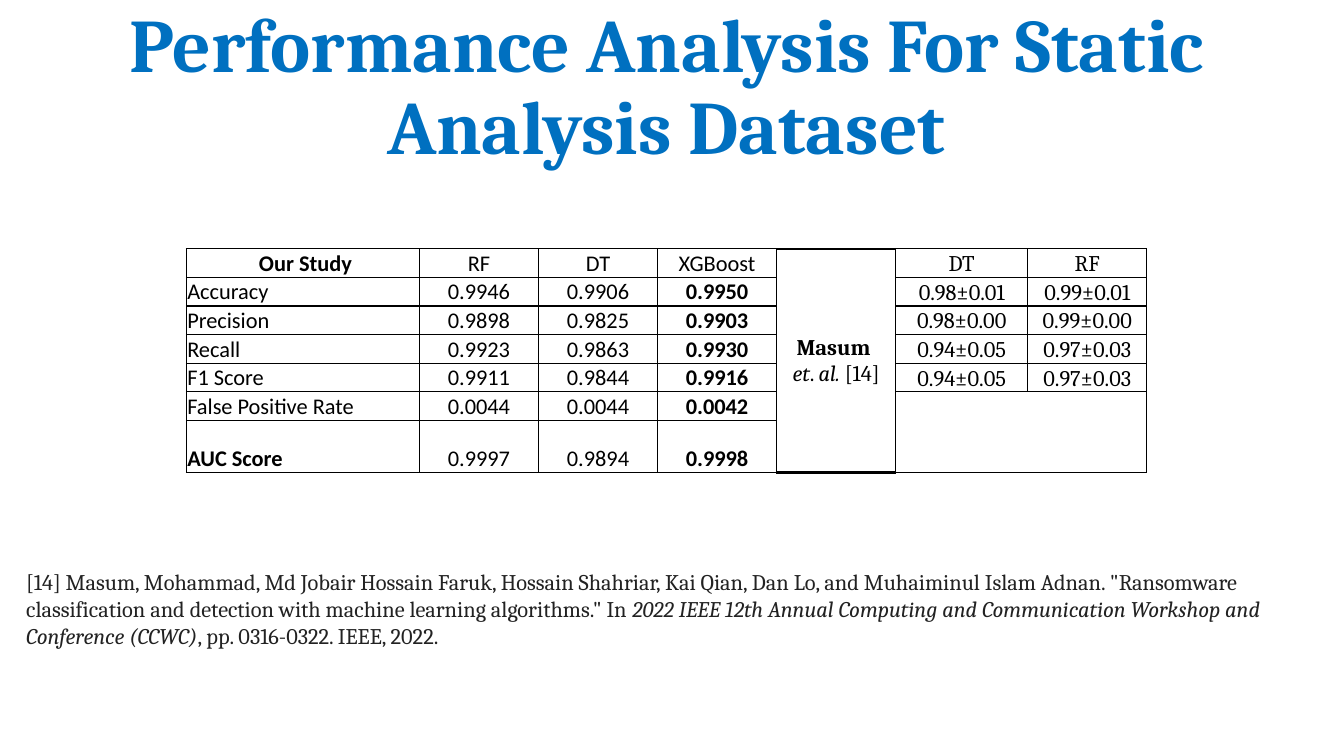
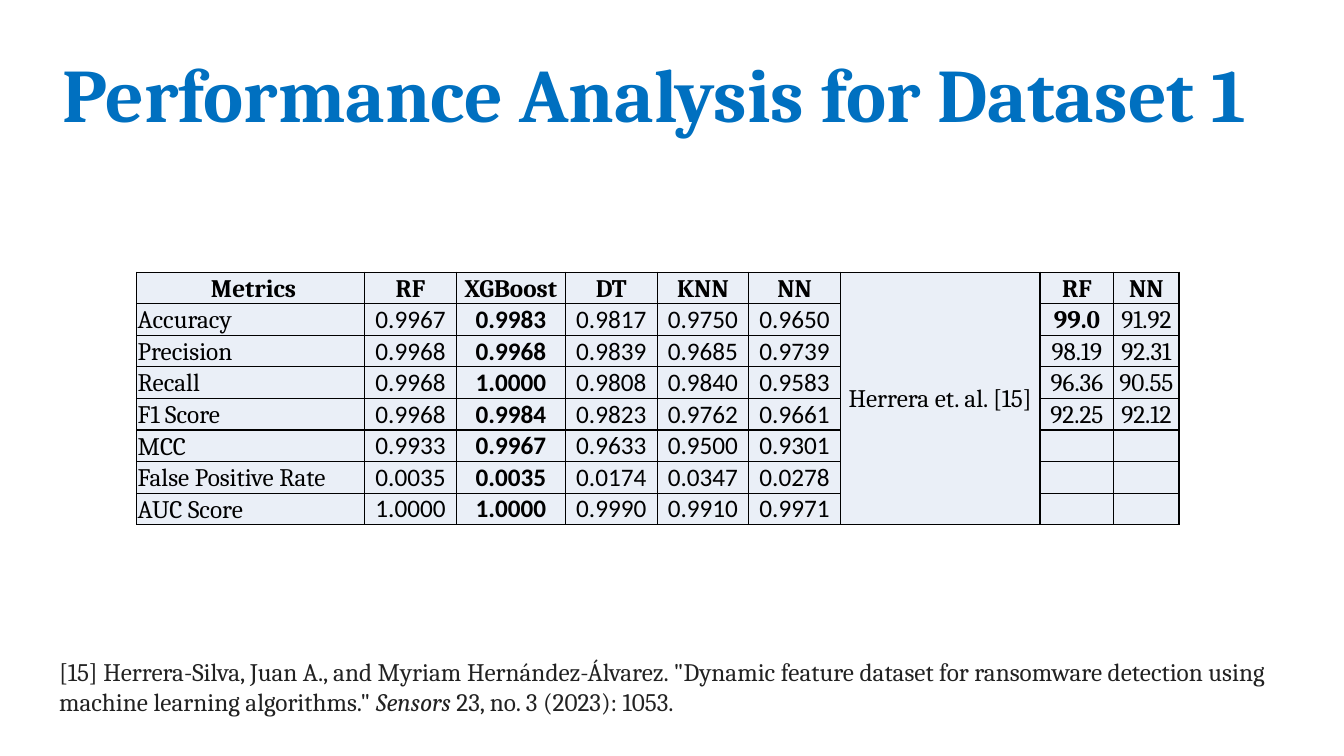
from lxml.etree import SubElement
from pptx import Presentation
from pptx.dml.color import RGBColor
from pptx.enum.text import MSO_ANCHOR as Anchor, MSO_AUTO_SIZE as AutoSize, PP_ALIGN as Align
from pptx.oxml.ns import qn
from pptx.util import Cm, Pt

BLACK = RGBColor(0x00, 0x00, 0x00)
WHITE = RGBColor(0xFF, 0xFF, 0xFF)
TITLE_BLUE = RGBColor(0x00, 0x70, 0xC0)
NOTE_GRAY = RGBColor(0x22, 0x22, 0x22)
PALE_BLUE = RGBColor(0xEA, 0xEF, 0xF7)
SERIF, SANS = "Cambria", "Calibri"
BOLD, ITALIC = {"bold": True}, {"italic": True}
TITLE_SIZE = (34.75, 2.13)
TITLE_ONLY = 5

# Positions and lengths are centimetres. A text is a string or a list of (text, format) runs.
SLIDES = [
    {
        "title": "Performance Analysis For Static Analysis Dataset",
        "title_at": (-0.58, 2.29),
        "size": 16,
        "table": {
            "at": (4.7, 6.27),
            "columns": [5.87, 3, 3, 3, 3, 3.33, 3],
            "rows": [0.72] * 6 + [1.32],
            "fill": WHITE,
            "cells": [
                [" Our Study", "RF", "DT", "XGBoost",
                 [("Masum \n", BOLD), ("et", ITALIC), (". ", {}), ("al.", ITALIC), (" [14]", {})],
                 "DT", "RF"],
                ["Accuracy", "0.9946", "0.9906", "0.9950", "", "0.98±0.01", "0.99±0.01"],
                ["Precision", "0.9898", "0.9825", "0.9903", "", "0.98±0.00", "0.99±0.00"],
                ["Recall", "0.9923", "0.9863", "0.9930", "", "0.94±0.05", "0.97±0.03"],
                ["F1 Score", "0.9911", "0.9844", "0.9916", "", "0.94±0.05", "0.97±0.03"],
                ["False Positive Rate", "0.0044", "0.0044", "0.0042", "", "", ""],
                ["AUC Score", "0.9997", "0.9894", "0.9998", "", "", ""],
            ],
            "merges": [((0, 4), (6, 4)), ((5, 5), (6, 6))],
            "study_column": 4,
            "study_edge": 2,
            "sans": {(row, column) for row in range(7) for column in range(4)},
            "bold": {(0, 0), (6, 0)} | {(row, 3) for row in range(1, 7)},
        },
        "note_box": (0.41, 14.2, 33.45, 2.31),
        "note": [
            ("[14] Masum, Mohammad, Md Jobair Hossain Faruk, Hossain Shahriar, Kai Qian, Dan Lo, "
             "and Muhaiminul Islam Adnan. \"Ransomware classification and detection with machine "
             "learning algorithms.\" In ", {}),
            ("2022 IEEE 12th Annual Computing and Communication Workshop and Conference (CCWC)",
             ITALIC),
            (", pp. 0316-0322. IEEE, 2022.", {}),
        ],
    },
    {
        "title": "Performance Analysis for Dataset 1",
        "title_at": (-0.89, 1.5),
        "size": 18,
        "table": {
            "at": (3.45, 6.86),
            "columns": [5.74, 2.31, 2.75, 2.31, 2.31, 2.31, 5.03, 1.86, 1.64],
            "rows": [0.79] * 8,
            "fill": PALE_BLUE,
            "cells": [
                [" Metrics", "RF", "XGBoost", "DT", "KNN", "NN", "Herrera et. al. [15]", "RF", "NN"],
                ["Accuracy", "0.9967", "0.9983", "0.9817", "0.9750", "0.9650", "", "99.0", "91.92"],
                ["Precision", "0.9968", "0.9968", "0.9839", "0.9685", "0.9739", "", "98.19", "92.31"],
                ["Recall", "0.9968", "1.0000", "0.9808", "0.9840", "0.9583", "", "96.36", "90.55"],
                ["F1 Score", "0.9968", "0.9984", "0.9823", "0.9762", "0.9661", "", "92.25", "92.12"],
                ["MCC", "0.9933", "0.9967", "0.9633", "0.9500", "0.9301", "", "", ""],
                ["False Positive Rate", "0.0035", "0.0035", "0.0174", "0.0347", "0.0278", "", "", ""],
                ["AUC Score", "1.0000", "1.0000", "0.9990", "0.9910", "0.9971", "", "", ""],
            ],
            "merges": [((0, 6), (7, 6))],
            "study_column": 6,
            "study_edge": 1,
            "sans": {(row, column) for row in range(1, 8) for column in range(1, 6)},
            "bold": ({(0, column) for column in range(9) if column != 6}
                     | {(row, 2) for row in range(1, 8)} | {(1, 7)}),
        },
        "note_box": (1.24, 16.41, 31.88, 1.8),
        "note": [
            ("[15] Herrera-Silva, Juan A., and Myriam Hernández-Álvarez. \"Dynamic feature dataset "
             "for ransomware detection using machine learning algorithms.\" ", {}),
            ("Sensors", ITALIC),
            (" 23, no. 3 (2023): 1053.", {}),
        ],
    },
]


def write_text(frame, text, size, font=SERIF, color=BLACK, bold=False, align=Align.LEFT,
               line_spacing=None):
    """Fill the first paragraph of a frame; a newline in a run becomes a line break."""
    paragraph = frame.paragraphs[0]
    paragraph.alignment = align
    if line_spacing:
        paragraph.line_spacing = line_spacing
    for content, style in [(text, {})] if isinstance(text, str) else text:
        for index, piece in enumerate(content.split("\n")):
            if index:
                paragraph.add_line_break()
            if not piece:
                continue
            run = paragraph.add_run()
            run.text = piece
            run.font.name, run.font.size = font, Pt(size)
            run.font.color.rgb = color
            run.font.bold = style.get("bold", bold)
            run.font.italic = style.get("italic", False)
    if not paragraph.runs:
        # An empty cell keeps the row height of its neighbours
        paragraph._p.get_or_add_endParaRPr().set("sz", str(size * 100))


def set_borders(cell, horizontal_width):
    """Draw black edges: 1 pt at the sides, the given width at top and bottom."""
    properties = cell._tc.get_or_add_tcPr()
    edges = (("lnL", 1), ("lnR", 1), ("lnT", horizontal_width), ("lnB", horizontal_width))
    for tag, width in edges:
        line = SubElement(properties, qn(f"a:{tag}"), w=str(Pt(width)))
        fill = SubElement(line, qn("a:solidFill"))
        SubElement(fill, qn("a:srgbClr"), val=str(BLACK))


def add_title(slide, text, position):
    title = slide.shapes.title
    title.left, title.top = map(Cm, position)
    title.width, title.height = map(Cm, TITLE_SIZE)
    frame = title.text_frame
    frame.word_wrap, frame.auto_size = True, AutoSize.NONE
    frame.vertical_anchor = Anchor.BOTTOM
    write_text(frame, text, 54, color=TITLE_BLUE, bold=True, align=Align.CENTER, line_spacing=0.9)


def add_results(slide, spec_table, size):
    columns, rows, cells = (spec_table[key] for key in ("columns", "rows", "cells"))
    box = map(Cm, (*spec_table["at"], sum(columns), sum(rows)))
    table = slide.shapes.add_table(len(rows), len(columns), *box).table
    table.first_row = table.horz_banding = False
    for column, width in zip(table.columns, columns):
        column.width = Cm(width)
    for row, height in zip(table.rows, rows):
        row.height = Cm(height)
    for row_index, texts in enumerate(cells):
        for column_index, text in enumerate(texts):
            place = row_index, column_index
            is_study = column_index == spec_table["study_column"]
            is_label = column_index == 0 and row_index > 0
            cell = table.cell(*place)
            cell.margin_left = cell.margin_right = cell.margin_top = Cm(0.02)
            cell.margin_bottom = 0
            cell.vertical_anchor = Anchor.MIDDLE if is_study else Anchor.BOTTOM
            write_text(cell.text_frame, text, size,
                       font=SANS if place in spec_table["sans"] else SERIF,
                       bold=place in spec_table["bold"],
                       align=Align.LEFT if is_label else Align.CENTER)
            set_borders(cell, spec_table["study_edge"] if is_study else 1)
            cell.fill.solid()
            cell.fill.fore_color.rgb = spec_table["fill"]
    for first, last in spec_table["merges"]:
        table.cell(*first).merge(table.cell(*last))


def add_note(slide, text, box, size):
    frame = slide.shapes.add_textbox(*map(Cm, box)).text_frame
    frame.word_wrap, frame.auto_size = True, AutoSize.SHAPE_TO_FIT_TEXT
    write_text(frame, text, size, color=NOTE_GRAY)


def main():
    presentation = Presentation()
    presentation.slide_width, presentation.slide_height = Cm(33.87), Cm(19.05)
    for content in SLIDES:
        slide = presentation.slides.add_slide(presentation.slide_layouts[TITLE_ONLY])
        add_title(slide, content["title"], content["title_at"])
        add_results(slide, content["table"], content["size"])
        add_note(slide, content["note"], content["note_box"], content["size"])
    presentation.save("out.pptx")


if __name__ == "__main__":
    main()
